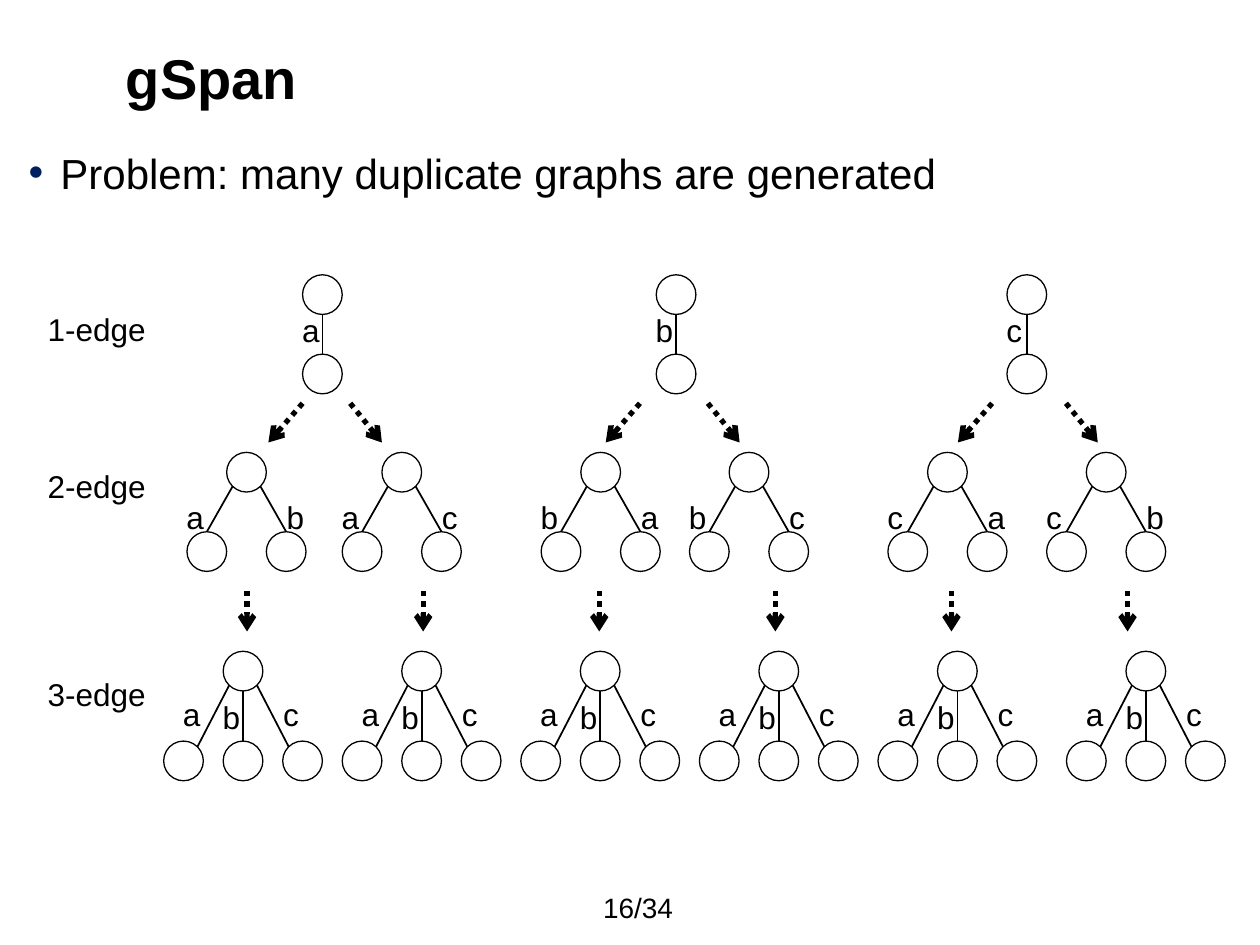
"""Draws the gSpan search tree with its duplicate one, two and three edge graphs."""
from dataclasses import dataclass
from math import sqrt

from pptx import Presentation, util as u
from pptx.dml.color import RGBColor
from pptx.enum import dml, shapes, text
from pptx.oxml import ns
from lxml import etree


@dataclass(frozen=True)
class Theme:
    ink: str = "000000"
    dot: str = "002060"
    face: str = "Arial"
    head: int = 32
    body: int = 24
    label: int = 18
    foot: int = 16
    ring: float = 0.75
    edge: float = 1
    arrow: float = 3


def put(item, **vals):
    for key, val in vals.items():
        setattr(item, key, val)


def add(parent, tag, **vals):
    return etree.SubElement(parent, ns.qn(tag), vals)


class Deck:
    R = 0.4
    SLANT = 0.28
    SIDES = {1: [0], 2: [-1, 1], 3: [-1, 0, 1]}
    LABELS = {-1: (-1.46, 0), 0: (-0.66, 0.05), 1: (0.56, 0)}

    def __init__(self, theme):
        self.t = theme
        self.ink = RGBColor.from_string(theme.ink)
        self.prs = Presentation()
        put(self.prs, slide_width=u.Cm(25.4), slide_height=u.Cm(19.05))
        self.slide = self.prs.slides.add_slide(self.prs.slide_layouts[6])

    def words(self, words, x, y, w, h, size, bold=False, bullet=False, **frame):
        box = self.slide.shapes.add_textbox(*map(u.Cm, (x, y, w, h)))
        put(box.text_frame, **{"word_wrap": True, **frame})
        para = box.text_frame.paragraphs[0]
        if bullet:
            self.mark(para)
        run = para.add_run()
        run.text = words
        put(run.font, name=self.t.face, size=u.Pt(size), bold=bold)
        run.font.color.rgb = self.ink

    def mark(self, para):
        props = para._p.get_or_add_pPr()
        hang = u.Cm(0.64)
        props.set("marL", str(hang))
        props.set("indent", str(-hang))
        add(add(props, "a:buClr"), "a:srgbClr", val=self.t.dot)
        add(props, "a:buFont", typeface=self.t.face)
        add(props, "a:buChar", char="•")

    def tag(self, words, x, y, w=0.86):
        self.words(words, x, y, w, 1.02, self.t.label, word_wrap=False,
                   auto_size=text.MSO_AUTO_SIZE.SHAPE_TO_FIT_TEXT)

    def node(self, x, y):
        size = 2 * self.R
        ring = self.slide.shapes.add_shape(
            shapes.MSO_SHAPE.OVAL, *map(u.Cm, (x - self.R, y - self.R, size, size)))
        ring.shadow.inherit = False
        ring.fill.background()
        ring.line.color.rgb = self.ink
        ring.line.width = u.Pt(self.t.ring)

    def line(self, x1, y1, x2, y2, arrow=False):
        link = self.slide.shapes.add_connector(
            shapes.MSO_CONNECTOR.STRAIGHT, *map(u.Cm, (x1, y1, x2, y2)))
        link.line.color.rgb = self.ink
        link.line.width = u.Pt(self.t.arrow if arrow else self.t.edge)
        props = link.element.spPr
        if arrow:
            link.line.dash_style = dml.MSO_LINE.ROUND_DOT
            add(props.find(ns.qn("a:ln")), "a:tailEnd", type="arrow")
        add(props, "a:effectLst")

    def tree(self, names, x, y, drop, gap, lean, high):
        self.node(x, y)
        for side, name in zip(self.SIDES[len(names)], names):
            kid = x + side * gap
            out, into = side * self.SLANT, side * lean
            self.node(kid, y + drop)
            self.line(x + out, y + sqrt(self.R ** 2 - out ** 2),
                      kid - into, y + drop - sqrt(self.R ** 2 - into ** 2))
            dx, dy = self.LABELS[side]
            self.tag(name, x + dx, high + dy)


def main():
    theme = Theme()
    deck = Deck(theme)
    mid = text.MSO_ANCHOR.MIDDLE
    flush = dict.fromkeys(
        ("margin_left", "margin_top", "margin_right", "margin_bottom"), 0)
    deck.words("gSpan", 2.29, 0.74, 21.06, 1.63, theme.head, bold=True,
               vertical_anchor=mid)
    deck.words("Problem: many duplicate graphs are generated",
               0.58, 2.97, 24.2, 13.9, theme.body, bullet=True, **flush)

    levels = [
        (dict(y=5.94, drop=1.6, gap=0, lean=0, high=6.1),
         zip("abc", (6.5, 13.63, 20.7))),
        (dict(y=9.52, drop=1.6, gap=0.8, lean=0, high=9.92),
         zip(("ab", "ac", "ba", "bc", "ca", "cb"),
             (4.97, 8.1, 12.11, 15.1, 19.1, 22.3))),
        (dict(y=13.53, drop=1.81, gap=1.2, lean=Deck.SLANT, high=13.89),
         (("abc", x) for x in (4.9, 8.5, 12.1, 15.7, 19.3, 23.1))),
    ]
    for form, trees in levels:
        for names, x in trees:
            deck.tree(names, x, **form)

    for left, right in ((6.1, 7.06), (12.9, 14.27), (20, 21.49)):
        deck.line(left, 8.13, left - 0.69, 8.92, arrow=True)
        deck.line(right, 8.13, right + 0.64, 8.92, arrow=True)
    for i in range(6):
        x = 4.98 + 3.55 * i
        deck.line(x, 11.91, x, 12.73, arrow=True)

    for i, y in enumerate((6.12, 9.3, 13.49), 1):
        deck.tag(f"{i}-edge", 0.71, y, 2.51)
    deck.words("16/34", 11.91, 17.93, 2.18, 0.74, theme.foot, vertical_anchor=mid)
    deck.prs.save("out.pptx")


if __name__ == "__main__":
    main()
